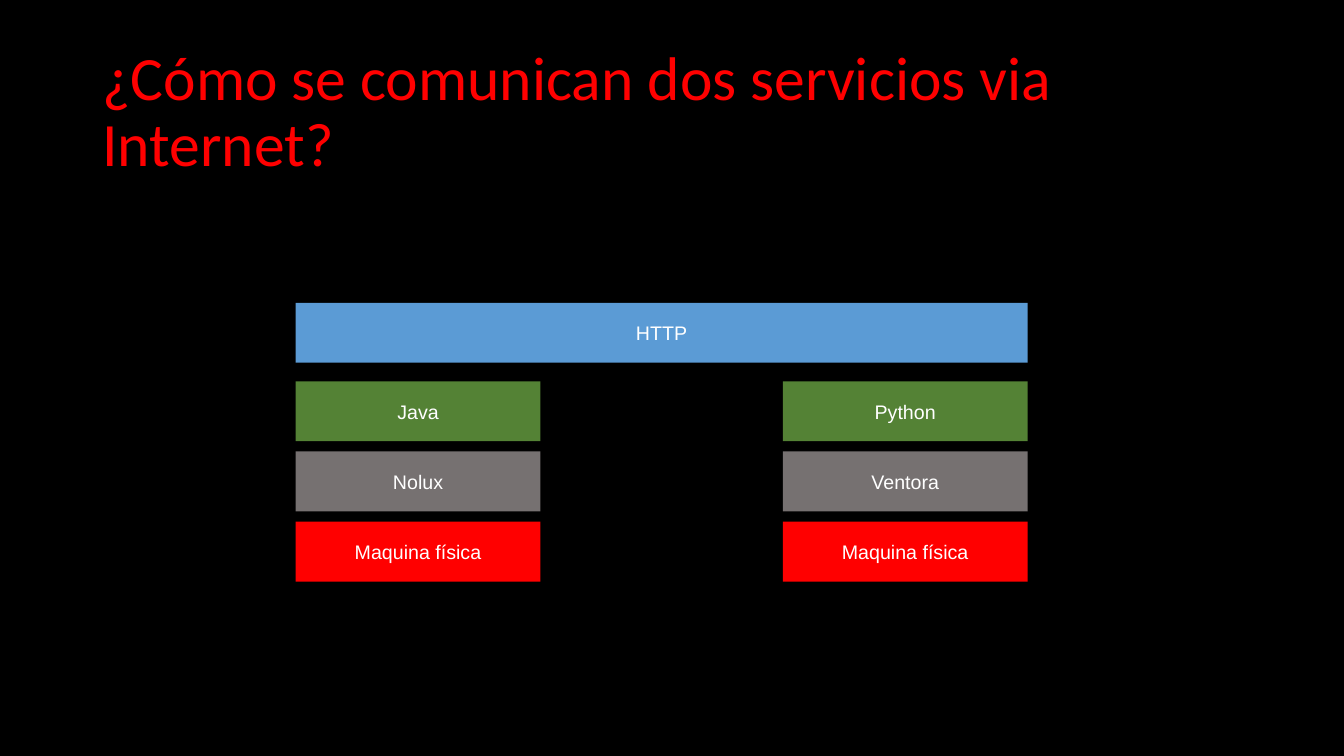
from pptx import Presentation
from pptx.dml.color import RGBColor
from pptx.enum.shapes import MSO_SHAPE
from pptx.enum.text import MSO_ANCHOR, MSO_AUTO_SIZE, PP_ALIGN
from pptx.util import Pt

RECT = MSO_SHAPE.RECTANGLE
MIDDLE = MSO_ANCHOR.MIDDLE
FIXED = MSO_AUTO_SIZE.NONE
LEFT, CENTER = PP_ALIGN.LEFT, PP_ALIGN.CENTER

COLORS = {
    "back": "000000",
    "title": "FF0000",
    "text": "FFFFFF",
    "web": "5B9BD5",
    "code": "548235",
    "system": "767171",
    "metal": "FF0000",
}


class Deck:
    frame = {"word_wrap": True, "auto_size": FIXED, "vertical_anchor": MIDDLE,
             "margin_left": Pt(7.2), "margin_right": Pt(7.2),
             "margin_top": Pt(3.6), "margin_bottom": Pt(3.6)}
    head = {"name": "Calibri", "size": Pt(44), "bold": False}
    body = {"name": "Arial", "size": Pt(14)}

    def __init__(self, width, height):
        self.deck = Presentation()
        self.deck.slide_width, self.deck.slide_height = Pt(width), Pt(height)
        self.slide = self.deck.slides.add_slide(self.deck.slide_layouts[5])
        self.paint(self.slide.background.fill, "back")

    def paint(self, fill, color):
        fill.solid()
        fill.fore_color.rgb = RGBColor.from_string(COLORS[color])

    def apply(self, item, values):
        for key, value in values.items():
            setattr(item, key, value)

    def label(self, shape, text, font, color, para):
        frame = shape.text_frame
        self.apply(frame, self.frame)
        line = frame.paragraphs[0]
        self.apply(line, para)
        run = line.add_run()
        run.text = text
        self.apply(run.font, font)
        run.font.color.rgb = RGBColor.from_string(COLORS[color])

    def title(self, text, left, top, width, height):
        shape = self.slide.shapes.title
        self.apply(shape, {"left": Pt(left), "top": Pt(top),
                           "width": Pt(width), "height": Pt(height)})
        self.label(shape, text, self.head, "title",
                   {"alignment": LEFT, "line_spacing": 0.9})

    def box(self, text, color, left, top, width, height):
        shape = self.slide.shapes.add_shape(
            RECT, Pt(left), Pt(top), Pt(width), Pt(height))
        shape.shadow.inherit = False
        self.paint(shape.fill, color)
        shape.line.fill.background()
        self.label(shape, text, self.body, "text", {"alignment": CENTER})


def main():
    show = Deck(960, 540)
    show.title("¿Cómo se comunican dos servicios via Internet?",
               66, 28.75, 828, 104.4)

    left, right, width, height = 211.2, 559.2, 174.8, 42.8
    top, step = 272.4, 50.1
    layers = [
        ("code", "Java", "Python"),
        ("system", "Nolux", "Ventora"),
        ("metal", "Maquina física", "Maquina física"),
    ]
    for row, (color, *names) in enumerate(layers):
        for name, edge in zip(names, (left, right)):
            show.box(name, color, edge, top + row * step, width, height)
    show.box("HTTP", "web", left, 216.3, right + width - left, height)

    show.deck.save("out.pptx")


if __name__ == "__main__":
    main()
